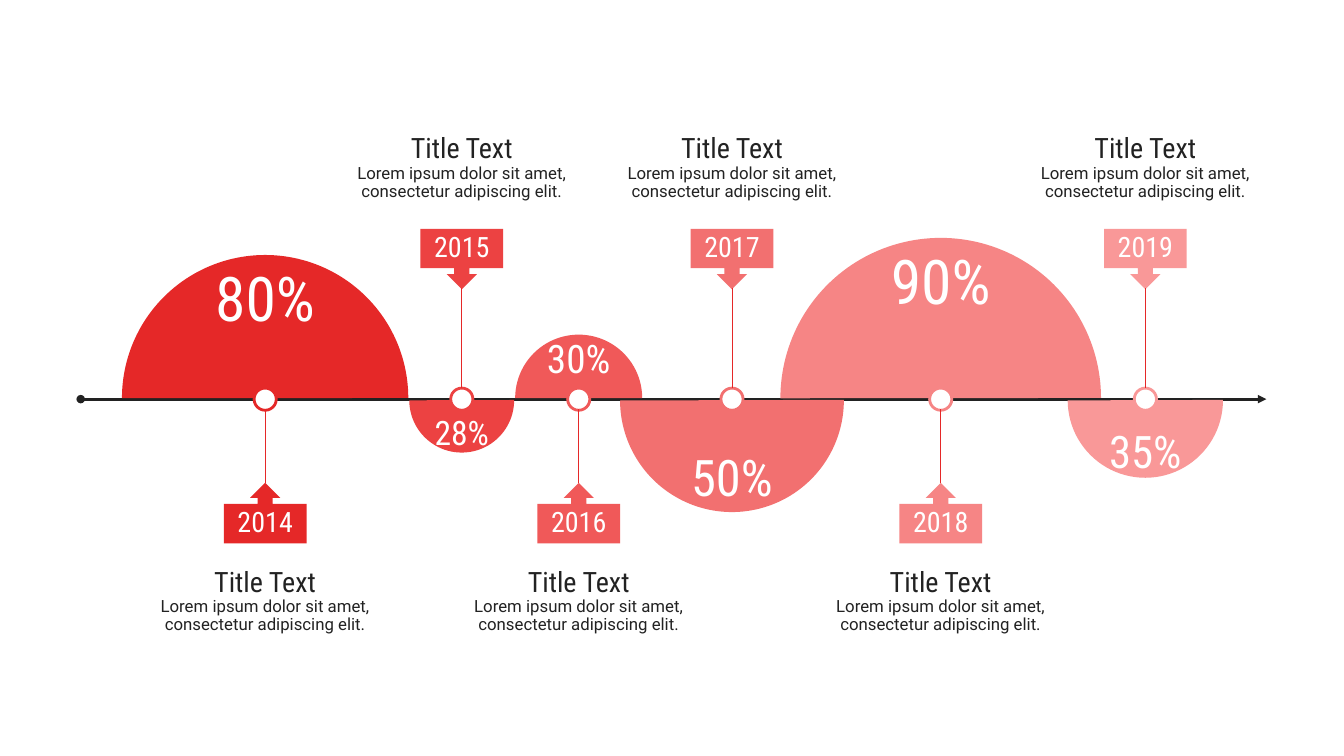
import lxml.etree
import pptx
import pptx.dml.color
import pptx.enum.shapes
import pptx.enum.text
import pptx.oxml.ns
import pptx.util

Inches = pptx.util.Inches
Pt = pptx.util.Pt
RGB = pptx.dml.color.RGBColor
Shape = pptx.enum.shapes.MSO_SHAPE
Anchor = pptx.enum.text.MSO_ANCHOR
qn = pptx.oxml.ns.qn

WHITE = RGB(0xFF, 0xFF, 0xFF)
INK = RGB(0x22, 0x22, 0x22)
RED = RGB(0xE5, 0x28, 0x28)
SHADES = [RED, RGB(0xEC, 0x42, 0x42), RGB(0xF0, 0x59, 0x59),
          RGB(0xF2, 0x70, 0x70), RGB(0xF6, 0x85, 0x85), RGB(0xF9, 0x98, 0x98)]

AXIS = 3.96
# year, centre, above the axis, diameter, share, size, insets (None: default)
STEPS = [
    ("2014", 2.63, True, 2.84, "80%", 44, None),
    ("2015", 4.58, False, 1.04, "28%", 24, (0, 0.8, 0, 0)),
    ("2016", 5.74, True, 1.26, "30%", 28, (0, 0, 0, 1)),
    ("2017", 7.26, False, 2.22, "50%", 36, None),
    ("2018", 9.33, True, 3.18, "90%", 44, None),
    ("2019", 11.36, False, 1.54, "35%", 32, (0, 0.8, 0, 0)),
]


class Deck:
    head = "Roboto Condensed"
    body = "Roboto"

    def __init__(self):
        self.file = pptx.Presentation()
        self.file.slide_width = Inches(13.33)
        self.file.slide_height = Inches(7.5)
        self.slide = self.file.slides.add_slide(self.file.slide_layouts[6])
        self.host = self.slide.shapes

    def group(self):
        """Put the next shapes into a new group."""
        self.host = self.slide.shapes.add_group_shape().shapes

    def line(self, start, end, color, width, ends=None):
        kind = pptx.enum.shapes.MSO_CONNECTOR.STRAIGHT
        line = self.host.add_connector(kind, *map(Inches, start + end))
        line.line.color.rgb = color
        line.line.width = Pt(width)
        props = line.element.spPr
        if ends:
            for tag, mark in zip(("a:headEnd", "a:tailEnd"), ends):
                lxml.etree.SubElement(props.find(qn("a:ln")), qn(tag), type=mark)
        lxml.etree.SubElement(props, qn("a:effectLst"))

    def shape(self, kind, mid, top, wide, high, fill, edge=None):
        """Add a preset shape centred on mid."""
        shape = self.host.add_shape(
            kind, *map(Inches, (mid - wide / 2, top, wide, high)))
        shape.shadow.inherit = False
        shape.fill.solid()
        shape.fill.fore_color.rgb = fill
        if edge is None:
            shape.line.fill.background()
        else:
            shape.line.color.rgb = edge
            shape.line.width = Pt(2)
        return shape

    def text(self, para, words, size, font, color):
        para.alignment = pptx.enum.text.PP_ALIGN.CENTER
        run = para.add_run()
        run.text = words
        run.font.size = Pt(size)
        run.font.name = font
        run.font.color.rgb = color

    def frame(self, shape, anchor, pads=None):
        """Set anchor and insets; return the first paragraph."""
        frame = shape.text_frame
        frame.word_wrap = True
        frame.vertical_anchor = anchor
        if pads:
            (frame.margin_left, frame.margin_top,
             frame.margin_right, frame.margin_bottom) = map(Inches, pads)
        return frame.paragraphs[0]

    def dome(self, mid, above, wide, color, share, size, pads):
        """Add a half disc that sits on the axis or hangs from it."""
        level = AXIS - 0.01 if above else AXIS + 0.01
        pie = self.shape(Shape.PIE, mid, level - wide / 2, wide, wide, color)
        turn = (107.97, 215.95) if above else (215.9, 107.89)
        pie.adjustments[0], pie.adjustments[1] = turn
        para = self.frame(pie, Anchor.TOP if above else Anchor.BOTTOM, pads)
        self.text(para, share, size, self.head, WHITE)

    def flag(self, mid, above, color, year):
        """Add the year callout, on the far side of the axis."""
        kind = Shape.UP_ARROW_CALLOUT if above else Shape.DOWN_ARROW_CALLOUT
        flag = self.shape(kind, mid, 4.79 if above else 2.27, 0.82, 0.6, color)
        para = self.frame(flag, Anchor.MIDDLE, (0, 0, 0, 0))
        para.line_spacing = 0.9
        self.text(para, year, 20, self.head, WHITE)

    def note(self, mid, top):
        box = self.slide.shapes.add_textbox(
            *map(Inches, (mid - 1.27, top, 2.54, 0.8)))
        para = self.frame(box, Anchor.TOP)
        box.text_frame.auto_size = pptx.enum.text.MSO_AUTO_SIZE.SHAPE_TO_FIT_TEXT
        self.text(para, "Title Text", 20, self.head, INK)
        para = box.text_frame.add_paragraph()
        para.line_spacing = 0.9
        self.text(para, "Lorem ipsum dolor sit amet, consectetur adipiscing elit.",
                  12, self.body, INK)


def main():
    deck = Deck()
    deck.line((0.8, AXIS), (12.56, AXIS), INK, 2, ("oval", "triangle"))
    for (year, mid, above, wide, share, size, pads), color in zip(STEPS, SHADES):
        deck.group()
        deck.dome(mid, above, wide, color, share, size, pads)
        deck.flag(mid, above, color, year)
        deck.shape(Shape.OVAL, mid, AXIS - 0.11, 0.22, 0.22, WHITE, color)
        start, end = (4.06, 4.79) if above else (2.86, 3.85)
        deck.line((mid, start), (mid, end), RED, 0.5)
        deck.note(mid, 5.55 if above else 1.25)
    deck.file.save("out.pptx")


if __name__ == "__main__":
    main()
